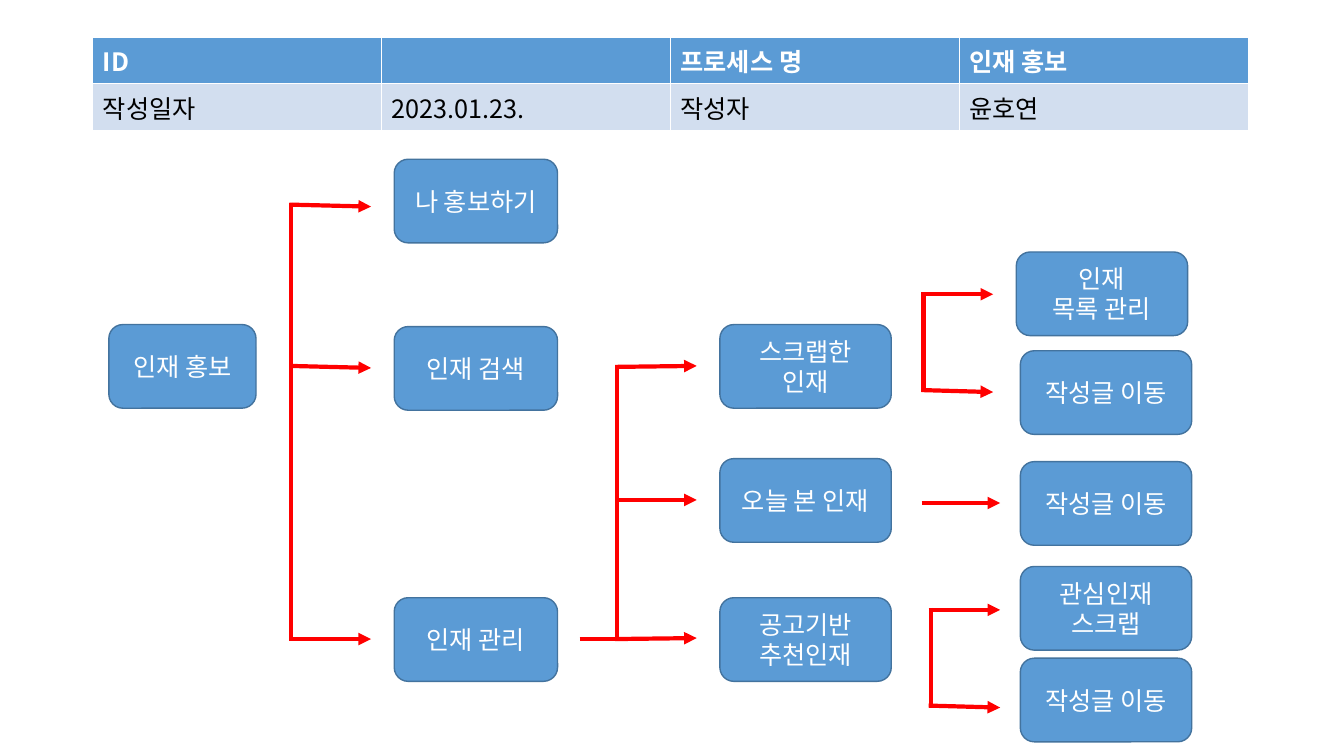
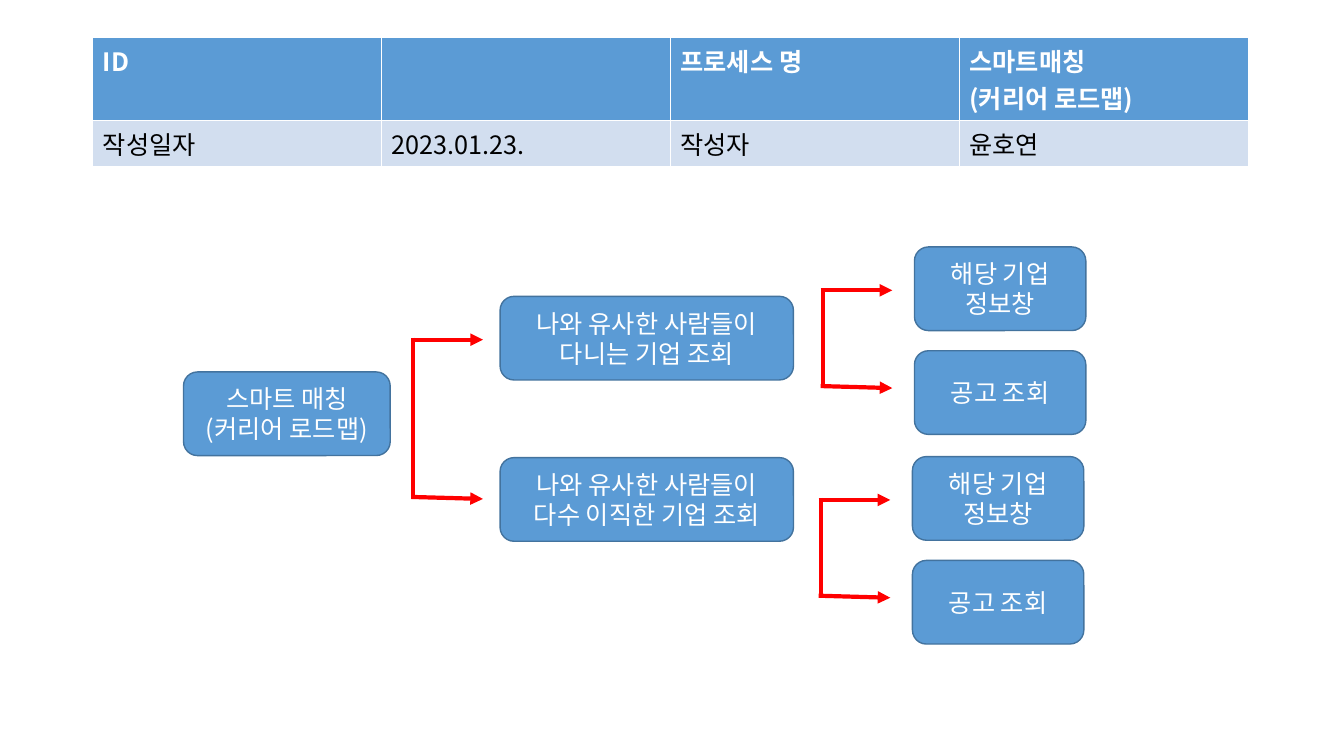
from lxml import etree
from pptx import Presentation
from pptx.dml.color import RGBColor
from pptx.enum import shapes, text
from pptx.oxml import ns
from pptx.util import Inches, Pt

FONT = "Noto Sans CJK KR"
BLUE, OUTLINE, PALE = "5B9BD5", "43739E", "D2DEEF"
WHITE, BLACK, RED = "FFFFFF", "000000", "FF0000"
BOX_HEIGHT = 0.83
LEAF_WIDTH = 1.7
SPINE_OVERLAP = 0.02


def rgb(value):
    return RGBColor.from_string(value)


def add_xml(parent, tag, **attributes):
    return etree.SubElement(parent, ns.qn(tag), attributes)


def style_text(frame, color, bold=False, alignment=None):
    """Format every run for both Latin and Korean characters."""
    formats = {"name": FONT, "size": Pt(18), "bold": bold}
    for paragraph in frame.paragraphs:
        paragraph.alignment = alignment
        for run in paragraph.runs:
            for name, value in formats.items():
                setattr(run.font, name, value)
            run.font.color.rgb = rgb(color)
            add_xml(run.font._element, "a:ea", typeface=FONT)


def add_header(slide, process, height):
    """Add the process identification table."""
    rows = [["ID", "", "프로세스 명", process],
            ["작성일자", "2023.01.23.", "작성자", "윤호연"]]
    heights = [height, 0.41]
    table = slide.shapes.add_table(
        2, 4, Inches(0.92), Inches(0.37), Inches(11.46), Inches(sum(heights))).table
    for row_index, values in enumerate(rows):
        is_heading = row_index == 0
        table.rows[row_index].height = Inches(heights[row_index])
        for column_index, value in enumerate(values):
            cell = table.cell(row_index, column_index)
            cell.text = value
            cell.fill.solid()
            cell.fill.fore_color.rgb = rgb(BLUE if is_heading else PALE)
            style_text(cell.text_frame, WHITE if is_heading else BLACK, is_heading)
            if not value:
                cell.text_frame.paragraphs[0].font.size = Pt(18)


def add_box(slide, label, left, top, width=LEAF_WIDTH):
    shape = slide.shapes.add_shape(
        shapes.MSO_SHAPE.ROUNDED_RECTANGLE,
        *map(Inches, (left, top, width, BOX_HEIGHT)))
    shape.shadow.inherit = False
    shape.fill.solid()
    shape.fill.fore_color.rgb = rgb(BLUE)
    shape.line.color.rgb = rgb(OUTLINE)
    shape.line.width = Pt(1)
    frame = shape.text_frame
    frame.text = label
    frame.word_wrap = True
    frame.vertical_anchor = text.MSO_ANCHOR.MIDDLE
    style_text(frame, WHITE, alignment=text.PP_ALIGN.CENTER)


def add_line(slide, start, end, arrow=False):
    connector = slide.shapes.add_connector(
        shapes.MSO_CONNECTOR.STRAIGHT, *map(Inches, (*start, *end)))
    connector.line.color.rgb = rgb(RED)
    connector.line.width = Pt(3)
    if arrow:
        add_xml(connector.line._get_or_add_ln(), "a:tailEnd", type="triangle")
    add_xml(connector._element.spPr, "a:effectLst")


def add_fork(slide, spine, tip, branches):
    """Draw a vertical spine with an arrow for each (start y, end y) pair."""
    add_line(slide, (spine, branches[0][0] - SPINE_OVERLAP),
             (spine, branches[-1][0] + SPINE_OVERLAP))
    for start_y, end_y in branches:
        add_line(slide, (spine - SPINE_OVERLAP, start_y), (tip, end_y), arrow=True)


def add_pair_fork(slide, spine, top, drop=0.95):
    """Draw a fork with two branches and the usual arrow length."""
    add_fork(slide, spine, spine + 0.69,
             [(top, top), (top + drop, top + drop + 0.02)])


def build_promotion(slide):
    add_header(slide, "인재 홍보", 0.43)
    add_box(slide, "인재 홍보", 1.08, 3.22, 1.46)
    for label, top in [("나 홍보하기", 1.58), ("인재 검색", 3.24), ("인재 관리", 5.93)]:
        add_box(slide, label, 3.91, top, 1.62)
    for label, top in [("스크랩한 인재", 3.22), ("오늘 본 인재", 4.55),
                       ("공고기반\n추천인재", 5.93)]:
        add_box(slide, label, 7.14, top)
    add_box(slide, "인재\n목록 관리", 10.08, 2.5)
    for label, top in [("작성글 이동", 3.48), ("작성글 이동", 4.58),
                       ("관심인재 스크랩", 5.62), ("작성글 이동", 6.53)]:
        add_box(slide, label, 10.12, top)

    add_fork(slide, 2.89, 3.68, [(2.03, 2.05), (3.63, 3.65), (6.34, 6.34)])
    add_line(slide, (5.75, 6.34), (6.12, 6.34))
    add_fork(slide, 6.12, 6.91, [(3.64, 3.63), (4.96, 4.96), (6.34, 6.33)])
    add_pair_fork(slide, 9.16, 2.92)
    add_line(slide, (9.14, 4.99), (9.92, 4.99), arrow=True)
    add_pair_fork(slide, 9.23, 6.05)


def build_matching(slide):
    add_header(slide, "스마트매칭\n(커리어 로드맵)", 0.71)
    add_box(slide, "스마트 매칭\n(커리어 로드맵)", 1.82, 3.69, 2.05)
    add_pair_fork(slide, 4.1, 3.37, 1.56)
    groups = [("나와 유사한 사람들이 다니는 기업 조회", 2.94, 9.07, 2.45, 8.16, 2.88),
              ("나와 유사한 사람들이 다수 이직한 기업 조회", 4.54, 9.05, 4.53, 8.14, 4.96)]
    for label, top, leaf_left, leaf_top, spine, fork_top in groups:
        add_box(slide, label, 4.96, top, 2.91)
        add_pair_fork(slide, spine, fork_top)
        for index, leaf in enumerate(["해당 기업 정보창", "공고 조회"]):
            add_box(slide, leaf, leaf_left, leaf_top + index * 1.03)


def main():
    presentation = Presentation()
    presentation.slide_width = Inches(13.33)
    presentation.slide_height = Inches(7.5)
    for build in (build_promotion, build_matching):
        build(presentation.slides.add_slide(presentation.slide_layouts[6]))
    presentation.save("out.pptx")


if __name__ == "__main__":
    main()
